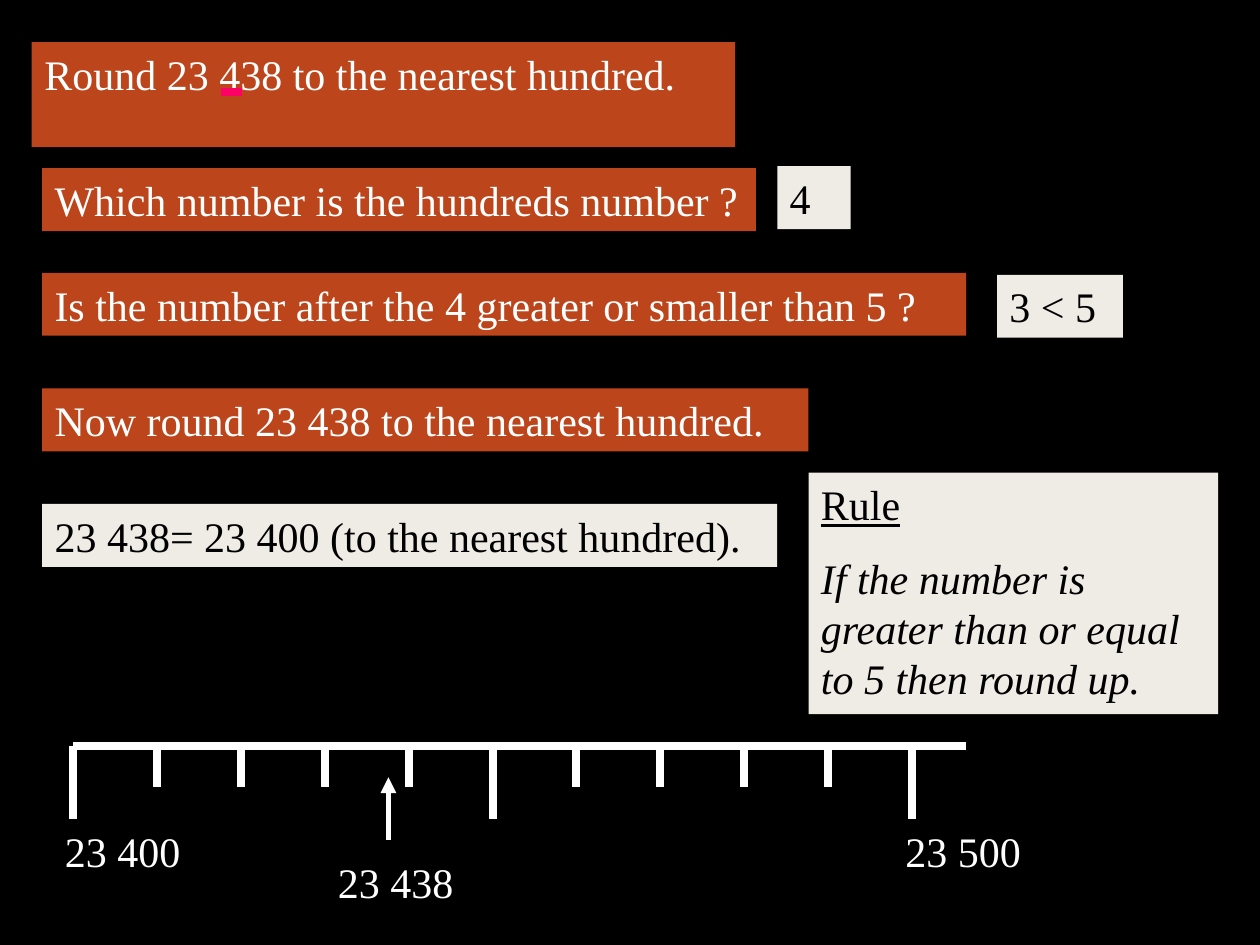
from dataclasses import dataclass

import pptx
import pptx.dml.color
import pptx.enum.shapes
import pptx.enum.text
import pptx.oxml.ns
import pptx.util
from lxml import etree

Cm = pptx.util.Cm
Pt = pptx.util.Pt


@dataclass(frozen=True)
class Theme:
    font: str = "Times New Roman"
    text_size: int = 24
    paragraph_gap: int = 13
    background: str = "000000"
    question: str = "BC451B"
    answer: str = "EFEBE5"
    light: str = "FFFFFF"
    dark: str = "000000"
    highlight: str = "FF0066"
    thick_line: float = 4.5
    arrow_line: float = 3


THEME = Theme()


@dataclass(frozen=True)
class TextBox:
    """Position in centimetres; a box without fill is a plain label."""
    text: str
    left: float
    top: float
    width: float
    height: float = 1.27
    fill: str | None = None
    color: str = THEME.light


def question(text: str, left: float, top: float, width: float) -> TextBox:
    return TextBox(text, left, top, width, fill=THEME.question)


def answer(text: str, left: float, top: float, width: float,
           height: float = 1.27) -> TextBox:
    return TextBox(text, left, top, width, height, THEME.answer, THEME.dark)


TITLE = question("Round 23 438 to the nearest hundred.", 0.64, 0.85, 14.18)
STEPS = [
    question("Which number is the hundreds number ?", 0.85, 3.39, 14.39),
    answer("4", 15.67, 3.35, 1.48),
    question("Is the number after the 4 greater or smaller than 5 ?", 0.85, 5.5, 18.63),
    answer("3 < 5", 20.1, 5.54, 2.54),
    question("Now round 23 438 to the nearest hundred.", 0.85, 7.83, 15.45),
    answer("23 438= 23 400 (to the nearest hundred).", 0.85, 10.16, 14.82),
]
RULE = answer("Rule\nIf the number is greater than or equal to 5 then round up.",
              16.3, 9.53, 8.26, 4.87)
SCALE_LABELS = [
    TextBox("23 400", 1.06, 16.51, 3.18),
    TextBox("23 500", 18, 16.51, 3.6),
    TextBox("23 438", 6.56, 17.15, 3.18),
]

AXIS_LEFT, AXIS_RIGHT, AXIS_TOP = 1.48, 19.47, 15.03
TICK_COUNT, TICK_GAP = 11, 1.69
SHORT_TICK, LONG_TICK = 0.84, 1.48


def rgb(value: str) -> pptx.dml.color.RGBColor:
    return pptx.dml.color.RGBColor.from_string(value)


def format_box(shape, box: TextBox) -> None:
    shape.left, shape.top = Cm(box.left), Cm(box.top)
    shape.width, shape.height = Cm(box.width), Cm(box.height)
    if box.fill:
        shape.fill.solid()
        shape.fill.fore_color.rgb = rgb(box.fill)
    frame = shape.text_frame
    frame.text = box.text
    frame.word_wrap = True
    frame.auto_size = pptx.enum.text.MSO_AUTO_SIZE.SHAPE_TO_FIT_TEXT
    frame.vertical_anchor = pptx.enum.text.MSO_ANCHOR.TOP
    for index, para in enumerate(frame.paragraphs):
        para.alignment = pptx.enum.text.PP_ALIGN.LEFT
        para.space_before = Pt(THEME.paragraph_gap if index else 0)
        for span in para.runs:
            span.font.name = THEME.font
            span.font.size = Pt(THEME.text_size)
            span.font.color.rgb = rgb(box.color)


def add_box(page, box: TextBox):
    if box.fill:
        shape = page.shapes.add_shape(pptx.enum.shapes.MSO_SHAPE.RECTANGLE, 0, 0, 0, 0)
        shape.line.fill.background()
        shape.shadow.inherit = False
    else:
        shape = page.shapes.add_textbox(0, 0, 0, 0)
    format_box(shape, box)
    return shape


def add_line(page, start: tuple[float, float], end: tuple[float, float],
             color: str = THEME.light, width: float = THEME.thick_line,
             arrow: bool = False) -> None:
    line = page.shapes.add_connector(
        pptx.enum.shapes.MSO_CONNECTOR.STRAIGHT, *map(Cm, start + end))
    line.line.color.rgb = rgb(color)
    line.line.width = Pt(width)
    if arrow:
        etree.SubElement(line.line._get_or_add_ln(),
                         pptx.oxml.ns.qn("a:tailEnd"), type="triangle")
    etree.SubElement(line._element.spPr, pptx.oxml.ns.qn("a:effectLst"))


def add_rule(page) -> None:
    heading, statement = add_box(page, RULE).text_frame.paragraphs
    heading.runs[0].font.underline = True
    statement.runs[0].font.italic = True


def add_number_line(page) -> None:
    add_line(page, (AXIS_LEFT, AXIS_TOP), (AXIS_RIGHT, AXIS_TOP))
    for index in range(TICK_COUNT):
        x = AXIS_LEFT + index * TICK_GAP
        length = SHORT_TICK if index % 5 else LONG_TICK
        add_line(page, (x, AXIS_TOP), (x, AXIS_TOP + length))
    for label in SCALE_LABELS:
        add_box(page, label)
    add_line(page, (7.83, 16.93), (7.83, 15.67), width=THEME.arrow_line, arrow=True)


def main() -> None:
    deck = pptx.Presentation()
    deck.slide_width, deck.slide_height = Cm(25.4), Cm(19.05)
    page = deck.slides.add_slide(deck.slide_layouts.get_by_name("Title Only"))
    page.background.fill.solid()
    page.background.fill.fore_color.rgb = rgb(THEME.background)

    format_box(page.shapes.title, TITLE)
    add_line(page, (4.45, 1.86), (4.87, 1.86), THEME.highlight)
    for step in STEPS:
        add_box(page, step)
    add_rule(page)
    add_number_line(page)
    deck.save("out.pptx")


if __name__ == "__main__":
    main()
